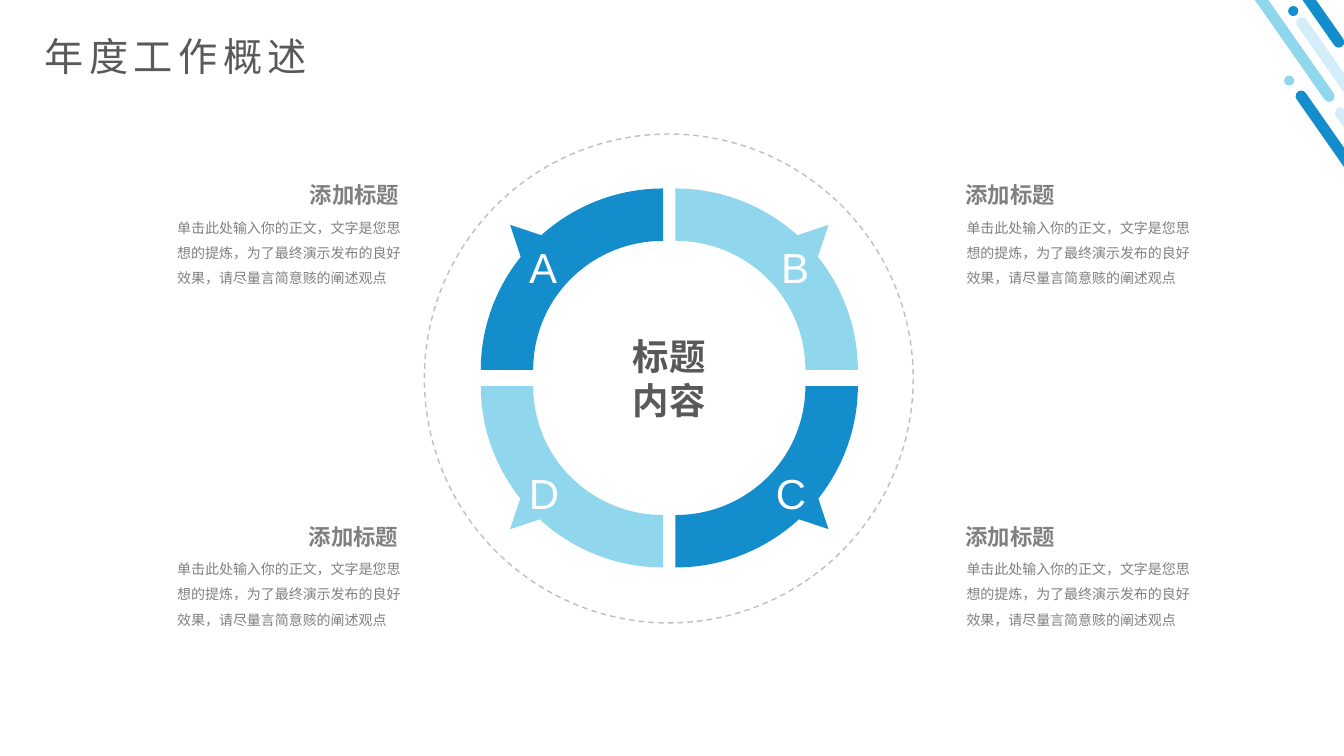
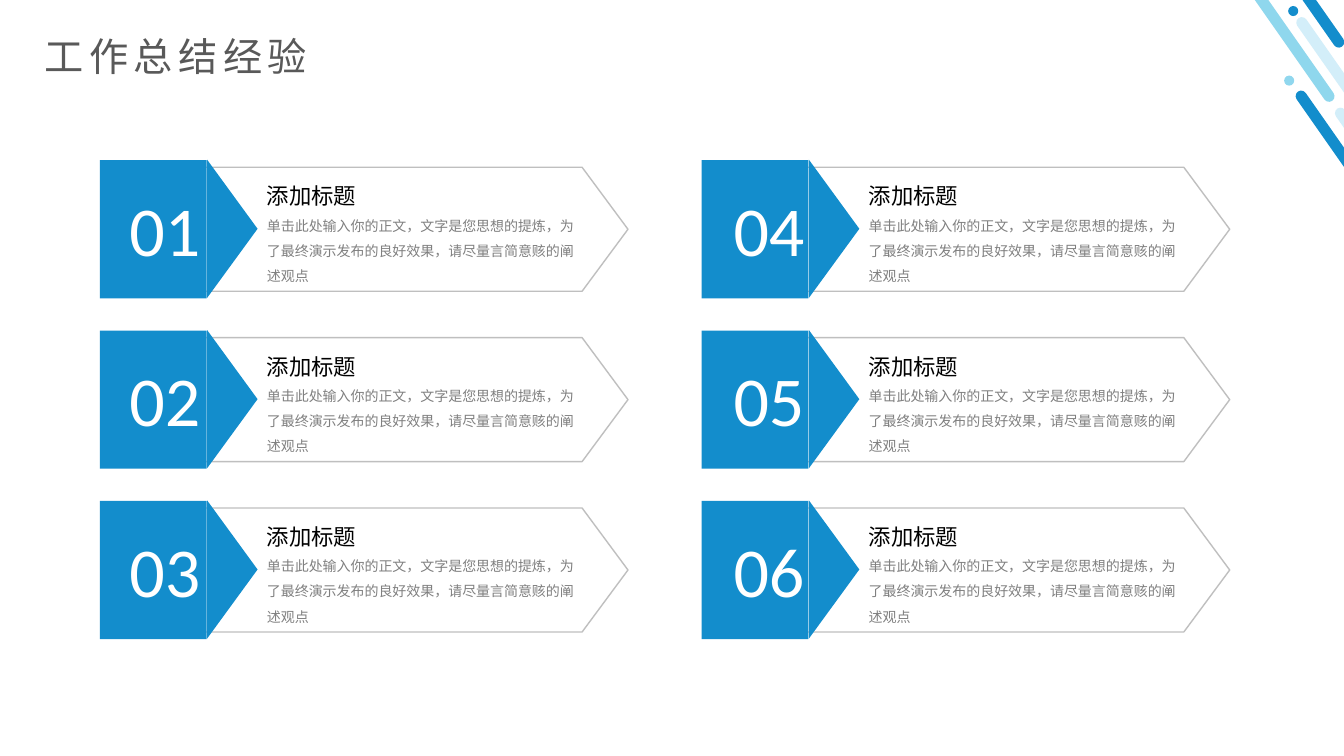
from lxml.etree import SubElement
from pptx import Presentation
from pptx.dml.color import RGBColor
from pptx.enum.dml import MSO_LINE_DASH_STYLE as Dash
from pptx.enum.shapes import MSO_SHAPE as Shape
from pptx.enum.text import MSO_ANCHOR as Anchor, MSO_AUTO_SIZE as AutoSize, PP_ALIGN as Align
from pptx.oxml.ns import qn
from pptx.util import Inches, Pt

# Shared style
BLUE, SKY, STRIPE_SKY, PALE = "138DCC", "90D7EE", "8FD7ED", "D3EEF9"
DARK, GRAY, LIGHT_GRAY, WHITE, BLACK = "595959", "808080", "BFBFBF", "FFFFFF", "000000"
CJK_FONT = "Noto Sans CJK SC"

HEADING = "添加标题"
BODY = "单击此处输入你的正文，文字是您思想的提炼，为了最终演示发布的良好效果，请尽量言简意赅的阐述观点"

# Corner stripes: left, top, length, colour
STRIPES = [
    (13.45, 0.71, 2.19, BLUE),
    (13.84, 0.88, 2.19, PALE),
    (12.37, -1.51, 2.76, STRIPE_SKY),
    (13.62, -0.07, 2.76, PALE),
    (12.63, -1.53, 2.19, BLUE),
]
DOTS = [(12.74, 0.75, SKY), (12.78, 0.06, BLUE)]

# Ring segments: horizontal side, vertical side, arrow rotation, colour
RING_X, RING_Y = 6.64, 3.75
SEGMENTS = [(1, -1, 45, SKY), (-1, -1, 315, BLUE), (1, 1, 135, BLUE), (-1, 1, 225, SKY)]

# Segment corners, and the control points of its two arcs, from the ring centre
SEGMENT_CORNERS = [(0.06, 1.88), (1.87, 0.13), (1.87, 0.08), (1.35, 0.08), (1.35, 0.1), (0.06, 1.36)]
SEGMENT_ARCS = {0: [(1.04, 1.88), (1.84, 1.1)], 4: [(1.34, 0.8), (0.77, 1.36)]}

# Ring letters: letter, left, top, width
LETTERS = [("A", 5.15, 2.35, 0.48), ("B", 7.65, 2.35, 0.48),
           ("C", 7.6, 4.59, 0.5), ("D", 5.15, 4.59, 0.5)]

# Captions: heading left, heading top, body left, alignment
CAPTIONS = [
    (1.78, 1.75, 1.66, Align.RIGHT),
    (1.77, 5.14, 1.66, Align.RIGHT),
    (9.48, 1.75, 9.49, Align.LEFT),
    (9.48, 5.14, 9.49, Align.LEFT),
]


def color(value):
    return RGBColor.from_string(value)


def paint(shape, fill=None, line=None):
    shape.shadow.inherit = False
    if fill:
        shape.fill.solid()
        shape.fill.fore_color.rgb = color(fill)
    else:
        shape.fill.background()
    if line:
        shape.line.color.rgb = color(line)
        shape.line.width = Pt(1)
    else:
        shape.line.fill.background()
    return shape


def add_preset(slide, kind, left, top, width, height, fill=None, line=None, rotation=0):
    shape = slide.shapes.add_shape(
        kind, Inches(left), Inches(top), Inches(width), Inches(height))
    shape.rotation = rotation
    return paint(shape, fill, line)


def format_run(run, size, ink, font=CJK_FONT, bold=False):
    run.font.size = Pt(size)
    run.font.name = font
    run.font.bold = bold
    run.font.color.rgb = color(ink)
    SubElement(run.font._element, qn("a:ea")).set("typeface", CJK_FONT)


def add_text(slide, text, left, top, width, height, size, ink, font=CJK_FONT,
             bold=False, align=Align.LEFT, wrap=True, grow=True):
    box = slide.shapes.add_textbox(
        Inches(left), Inches(top), Inches(width), Inches(height))
    frame = box.text_frame
    frame.word_wrap = wrap
    frame.auto_size = AutoSize.SHAPE_TO_FIT_TEXT if grow else AutoSize.NONE
    frame.text = text
    for paragraph in frame.paragraphs:
        paragraph.alignment = align
        for run in paragraph.runs:
            format_run(run, size, ink, font, bold)
    return box


def add_body(slide, left, top, width, height):
    box = add_text(slide, BODY, left, top, width, height, 10, GRAY, grow=False)
    paragraph = box.text_frame.paragraphs[0]
    paragraph.line_spacing = 1.5
    paragraph.space_before = Pt(13.3)


def add_title_slide(presentation, title):
    slide = presentation.slides.add_slide(presentation.slide_layouts[5])

    # Corner decoration
    for left, top, length, fill in STRIPES:
        stripe = add_preset(slide, Shape.ROUNDED_RECTANGLE, left, top, 0.11, length,
                            fill, rotation=325)
        stripe.adjustments[0] = 0.5
    for left, top, fill in DOTS:
        add_preset(slide, Shape.OVAL, left, top, 0.1, 0.1, fill)

    # Title
    placeholder = slide.shapes.title
    placeholder.left, placeholder.top = Inches(0.34), Inches(0.27)
    placeholder.width, placeholder.height = Inches(13.02), Inches(0.57)
    frame = placeholder.text_frame
    frame.text = title
    frame.auto_size = AutoSize.SHAPE_TO_FIT_TEXT
    frame.vertical_anchor = Anchor.TOP
    frame.paragraphs[0].alignment = Align.LEFT
    run = frame.paragraphs[0].runs[0]
    format_run(run, 28, DARK)
    run.font._element.set("spc", "400")
    return slide


def add_ring_segment(slide, side_x, side_y, fill):
    def place(point):
        return Inches(RING_X + side_x * point[0]), Inches(RING_Y + side_y * point[1])

    corners = [place(corner) for corner in SEGMENT_CORNERS]
    builder = slide.shapes.build_freeform(*corners[0])
    builder.add_line_segments(corners[1:], close=True)
    shape = paint(builder.convert_to_shape(), fill)

    # Bend the outer and inner edges into curves
    edges = list(shape._element.iter(qn("a:lnTo")))
    for index, controls in SEGMENT_ARCS.items():
        edge = edges[index]
        edge.tag = qn("a:cubicBezTo")
        end = edge[0]
        for control in controls:
            x, y = place(control)
            point = SubElement(edge, qn("a:pt"))
            point.set("x", str(x - shape.left))
            point.set("y", str(y - shape.top))
        edge.append(end)


def build_overview(presentation):
    slide = add_title_slide(presentation, "年度工作概述")

    # Ring with outward arrows
    for side_x, side_y, rotation, fill in SEGMENTS:
        add_ring_segment(slide, side_x, side_y, fill)
    arrow = 0.31
    for side_x, side_y, rotation, fill in SEGMENTS:
        add_preset(slide, Shape.ISOSCELES_TRIANGLE,
                   RING_X + side_x * 1.47 - arrow / 2, RING_Y - 0.01 + side_y * 1.4 - arrow / 2,
                   arrow, arrow, fill, rotation=rotation)
    orbit = add_preset(slide, Shape.OVAL, 4.21, 1.33, 4.85, 4.85, line=LIGHT_GRAY)
    orbit.line.dash_style = Dash.DASH

    # Letters and centre label
    for letter, left, top, width in LETTERS:
        add_text(slide, letter, left, top, width, 0.6, 30, WHITE, "Arial", wrap=False)
    add_text(slide, "标题\n内容", 6.18, 3.27, 0.92, 0.97, 26, DARK, "Arial", True, wrap=False)

    # Captions in the four corners
    for heading_left, top, body_left, align in CAPTIONS:
        add_body(slide, body_left, top + 0.29, 2.51, 0.75)
        add_text(slide, HEADING, heading_left, top, 2.28, 0.37, 16, GRAY,
                 bold=True, align=align)


def add_numbered_card(slide, number, left, top, number_width):
    panel = add_preset(slide, Shape.PENTAGON, left + 0.3, top + 0.07, 4.94, 1.23,
                       WHITE, LIGHT_GRAY)
    panel.adjustments[0] = 0.37
    add_preset(slide, Shape.RECTANGLE, left, top, 1.06, 1.37, BLUE)
    add_preset(slide, Shape.ISOSCELES_TRIANGLE, left + 0.63, top + 0.43, 1.37, 0.5,
               BLUE, rotation=90)
    add_body(slide, left + 1.56, top + 0.43, 3.26, 0.58)
    add_text(slide, HEADING, left + 1.56, top + 0.17, 1.09, 0.37, 16, BLACK, wrap=False)
    add_text(slide, f"{number:02}", left, top + 0.21, number_width, 0.94, 50, WHITE,
             "Calibri", align=Align.CENTER)


def build_experience(presentation):
    slide = add_title_slide(presentation, "工作总结经验")
    rows = 3
    for index in range(2 * rows):
        column, row = divmod(index, rows)
        add_numbered_card(slide, index + 1, 0.99 + column * 5.97, 1.59 + row * 1.69,
                          1.29 + column * 0.05)


def main():
    presentation = Presentation()
    presentation.slide_width, presentation.slide_height = Inches(40 / 3), Inches(7.5)
    build_overview(presentation)
    build_experience(presentation)
    presentation.save("out.pptx")


if __name__ == "__main__":
    main()
